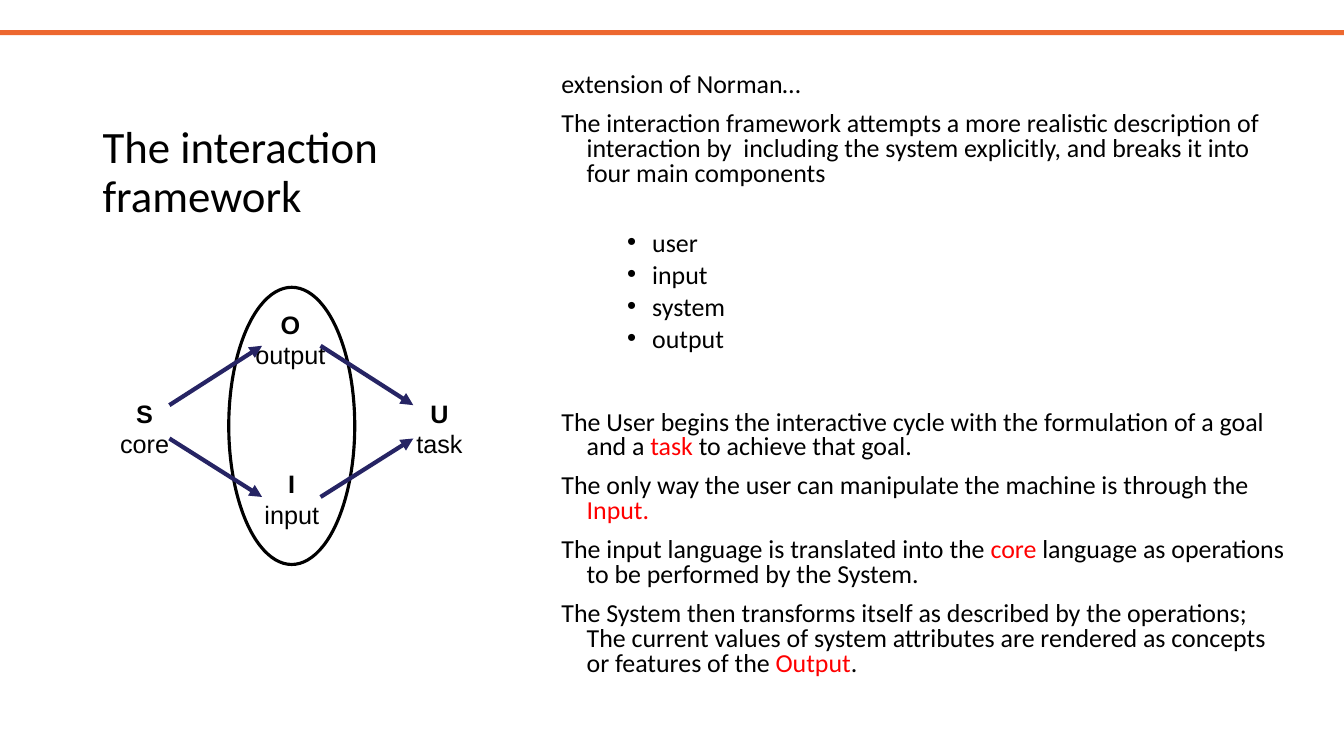
from lxml import etree
from pptx import Presentation
from pptx.dml.color import RGBColor
from pptx.enum.shapes import MSO_CONNECTOR, MSO_SHAPE
from pptx.enum.text import MSO_ANCHOR, MSO_AUTO_SIZE, PP_ALIGN
from pptx.oxml.ns import qn
from pptx.util import Pt

STRAIGHT = MSO_CONNECTOR.STRAIGHT
RECTANGLE, OVAL = MSO_SHAPE.RECTANGLE, MSO_SHAPE.OVAL
BOTTOM = MSO_ANCHOR.BOTTOM
CENTER = PP_ALIGN.CENTER
FIT_SHAPE = MSO_AUTO_SIZE.SHAPE_TO_FIT_TEXT

BLACK = RGBColor(0x00, 0x00, 0x00)
RED = RGBColor(0xFF, 0x00, 0x00)
ORANGE = RGBColor(0xED, 0x68, 0x2F)
NAVY = RGBColor(0x26, 0x24, 0x64)

SLIDE_WIDTH, SLIDE_HEIGHT = 960, 540
HANGING = 18
BULLET_MARGIN = 64.8

# Each paragraph is a list of runs; every second run is a red key term.
INTRO = [
    ["extension of Norman…"],
    ["The interaction framework attempts a more realistic description of "
     "interaction by  including the system explicitly, and breaks it into "
     "four main components"],
]
COMPONENTS = ["user", "input", "system", "output"]
CYCLE = [
    ["The User begins the interactive cycle with the formulation of a goal and a ",
     "task", " to achieve that goal."],
    ["The only way the user can manipulate the machine is through the ", "Input."],
    ["The input language is translated into the ", "core",
     " language as operations to be performed by the System."],
    ["The System then transforms itself as described by the operations; "
     "The current values of system attributes are rendered as concepts or "
     "features of the ", "Output", "."],
]

# letter, language, centre x, top, width
NODES = [
    ("S", "core", 103.3, 280.8, 52),
    ("U", "task", 313.9, 280.8, 50),
    ("O", "output", 207.4, 217.4, 68),
    ("I", "input", 208.4, 331.2, 56),
]
NODE_HEIGHT = 51

SYSTEM_X, OUTPUT_LEFT, OUTPUT_RIGHT, USER_X = 121, 187.2, 229, 295.2
ARROW_LEVELS = [(289.4, 247), (313.2, 355)]  # outer y, inner y


def set_font(paragraph, name, size, bold=False):
    font = paragraph.font
    font.name, font.size, font.bold = name, Pt(size), bold
    font.color.rgb = BLACK


def add_text_frame(shapes, left, top, width, height, wrap=True):
    box = shapes.add_textbox(Pt(left), Pt(top), Pt(width), Pt(height))
    frame = box.text_frame
    frame.word_wrap = wrap
    return frame


def next_paragraph(frame):
    """Return the empty first paragraph, or a new one once it is filled."""
    first = frame.paragraphs[0]
    return frame.add_paragraph() if first.runs else first


def add_top_rule(shapes):
    rule = shapes.add_shape(RECTANGLE, 0, Pt(21.6), Pt(SLIDE_WIDTH), Pt(3.6))
    rule.shadow.inherit = False
    rule.fill.solid()
    rule.fill.fore_color.rgb = ORANGE
    rule.line.fill.background()


def add_title(shapes):
    frame = add_text_frame(shapes, 66.2, 36, 309.6, 126)
    frame.vertical_anchor = BOTTOM
    title = frame.paragraphs[0]
    title.text = "The interaction framework"
    title.line_spacing = 0.9
    set_font(title, "Calibri", 32)


def add_body_paragraph(frame, runs, space_before, bullet=False):
    paragraph = next_paragraph(frame)
    for index, text in enumerate(runs):
        run = paragraph.add_run()
        run.text = text
        if index % 2:
            run.font.color.rgb = RED
    paragraph.line_spacing = 0.8
    paragraph.space_before = Pt(space_before)
    properties = paragraph._p.get_or_add_pPr()
    properties.set("marL", str(Pt(BULLET_MARGIN if bullet else HANGING)))
    properties.set("indent", str(-Pt(HANGING)))
    if bullet:
        etree.SubElement(properties, qn("a:buFont"), typeface="Arial")
        etree.SubElement(properties, qn("a:buChar"), char="•")
    set_font(paragraph, "Calibri", 18.5)


def add_body(shapes):
    frame = add_text_frame(shapes, 394, 49, 531.4, 472.3)
    for index, runs in enumerate(INTRO):
        add_body_paragraph(frame, runs, 10 if index else 0)
    for index, component in enumerate(COMPONENTS):
        add_body_paragraph(frame, [component], 5 if index else 32.5, bullet=True)
    for index, runs in enumerate(CYCLE):
        add_body_paragraph(frame, runs, 10 if index else 41.5)


def add_interface_oval(shapes):
    oval = shapes.add_shape(OVAL, Pt(163.4), Pt(205.2), Pt(90), Pt(198))
    oval.shadow.inherit = False
    oval.fill.background()
    oval.line.color.rgb = BLACK
    oval.line.width = Pt(2.25)


def add_node(shapes, letter, language, center_x, top, width):
    frame = add_text_frame(shapes, center_x - width / 2, top,
                           width, NODE_HEIGHT, wrap=False)
    frame.auto_size = FIT_SHAPE
    for text, bold in ((letter, True), (language, False)):
        paragraph = next_paragraph(frame)
        paragraph.text = text
        paragraph.alignment = CENTER
        set_font(paragraph, "Arial", 18, bold)


def add_arrow(shapes, x1, y1, x2, y2):
    arrow = shapes.add_connector(STRAIGHT, Pt(x1), Pt(y1), Pt(x2), Pt(y2))
    arrow.line.color.rgb = NAVY
    arrow.line.width = Pt(3)
    etree.SubElement(arrow.line._get_or_add_ln(), qn("a:tailEnd"), type="triangle")
    etree.SubElement(arrow._element.spPr, qn("a:effectLst"))


def add_framework_diagram(slide):
    shapes = slide.shapes.add_group_shape().shapes
    add_interface_oval(shapes)
    for node in NODES:
        add_node(shapes, *node)
    for outer_y, inner_y in ARROW_LEVELS:
        add_arrow(shapes, SYSTEM_X, outer_y, OUTPUT_LEFT, inner_y)
        add_arrow(shapes, OUTPUT_RIGHT, inner_y, USER_X, outer_y)


def main():
    presentation = Presentation()
    presentation.slide_width = Pt(SLIDE_WIDTH)
    presentation.slide_height = Pt(SLIDE_HEIGHT)
    slide = presentation.slides.add_slide(presentation.slide_layouts[6])
    add_top_rule(slide.shapes)
    add_title(slide.shapes)
    add_body(slide.shapes)
    add_framework_diagram(slide)
    presentation.save("out.pptx")


if __name__ == "__main__":
    main()
